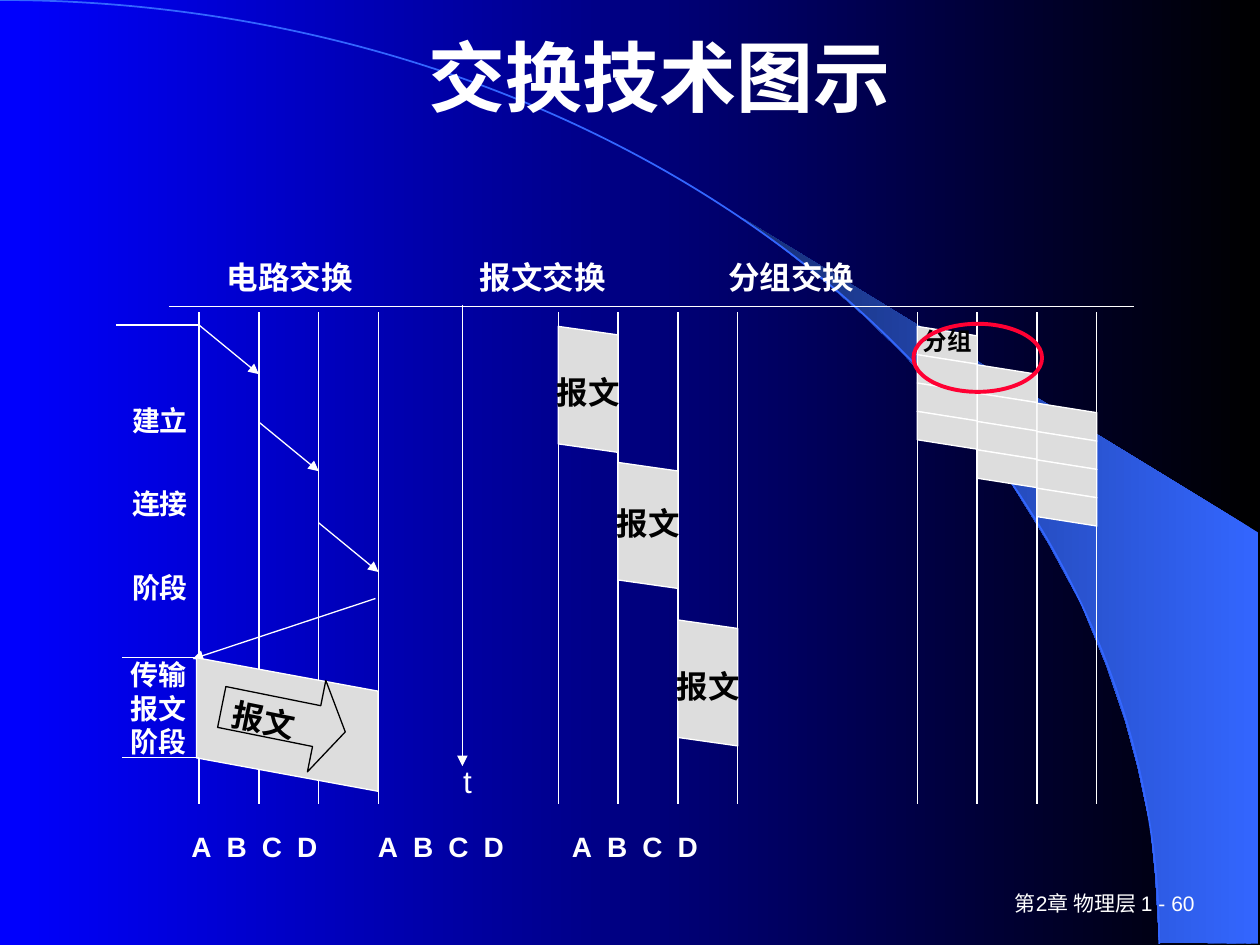
"""Build a slide comparing circuit, message and packet switching over time."""
import lxml.etree
import pptx
import pptx.dml.color
import pptx.enum.shapes
import pptx.enum.text
import pptx.oxml.ns
import pptx.util

Inches = pptx.util.Inches
Shape = pptx.enum.shapes.MSO_SHAPE
Align = pptx.enum.text.PP_ALIGN
Anchor = pptx.enum.text.MSO_ANCHOR

BLACK = pptx.dml.color.RGBColor(0, 0, 0)
WHITE = pptx.dml.color.RGBColor(255, 255, 255)
GREY = pptx.dml.color.RGBColor(0xDD, 0xDD, 0xDD)
RED = pptx.dml.color.RGBColor(0xFF, 0, 0x33)
BLUE = pptx.dml.color.RGBColor(0, 0, 0xFF)
SKY = pptx.dml.color.RGBColor(0x33, 0x66, 0xFF)
NAVY = pptx.dml.color.RGBColor(0x17, 0x2F, 0x75)

COLUMN = 0.475
FIRST_COLUMN = 1.58
NODES = 4
GROUP_STARTS = (0, 6, 12)
TOP, BOTTOM = 2.48, 6.38
START = 2.59
PACKET_STEP, PACKET_DELAY = 0.225, 0.305
SWEEP = [
    (9.2, 7.48), (9.99, 7.49), (9.99, 4.23), (5.89, 1.73), (6.24, 1.99),
    (6.53, 2.22), (6.85, 2.5), (7.16, 2.8), (7.62, 3.3), (8.03, 3.84),
    (8.32, 4.31), (8.58, 4.79), (8.78, 5.28), (8.93, 5.72), (9.03, 6.09),
    (9.13, 6.56), (9.17, 6.96),
]


def column(index):
    """Return the horizontal position of a grid column."""
    return FIRST_COLUMN + index * COLUMN


def set_values(target, values):
    """Set every attribute named in a dict of format values."""
    for name, value in values.items():
        setattr(target, name, value)


def add_child(parent, tag, **attributes):
    """Append a drawing element to an XML parent."""
    return lxml.etree.SubElement(parent, pptx.oxml.ns.qn(tag), **attributes)


def fill_gradient(fill, colors):
    """Fill with a gradient running from right to left."""
    fill.gradient()
    fill.gradient_angle = 180
    for stop, color in zip(fill.gradient_stops, colors):
        stop.color.rgb = color


def paint(shape, fill=None, line=WHITE, width=0.75):
    """Give a shape a plain fill and outline without a shadow."""
    shape.shadow.inherit = False
    if fill is None:
        shape.fill.background()
    else:
        shape.fill.solid()
        shape.fill.fore_color.rgb = fill
    shape.line.color.rgb = line
    shape.line.width = pptx.util.Pt(width)


def add_preset(page, kind, area, **look):
    """Add a painted preset shape."""
    shape = page.shapes.add_shape(kind, *map(Inches, area))
    paint(shape, **look)
    return shape


def add_line(page, start, end, arrow=False):
    """Add a thin white line, optionally with an arrowhead at its end."""
    line = page.shapes.add_connector(
        pptx.enum.shapes.MSO_CONNECTOR.STRAIGHT, *map(Inches, start + end))
    line.line.width = pptx.util.Pt(0.75)
    line.line.color.rgb = WHITE
    if arrow:
        add_child(line.line._get_or_add_ln(), "a:tailEnd", type="triangle")
    add_child(line._element.spPr, "a:effectLst")


def write(shape, text, size, color=WHITE, bold=True, tabs=(), frame=None, **layout):
    """Write one formatted paragraph into a shape."""
    body = shape.text_frame
    set_values(body, {"word_wrap": True, "vertical_anchor": Anchor.TOP, **(frame or {})})
    para = body.paragraphs[0]
    if tabs:
        stops = add_child(para._p.get_or_add_pPr(), "a:tabLst")
        for tab in tabs:
            add_child(stops, "a:tab", pos=str(Inches(tab)), algn="l")
    set_values(para, {"alignment": Align.LEFT, **layout})
    span = para.add_run()
    span.text = text
    set_values(span.font, {"name": "Arial", "size": pptx.util.Pt(size), "bold": bold})
    span.font.color.rgb = color


def add_text(page, area, text, size, **look):
    """Add a text box with one paragraph."""
    write(page.shapes.add_textbox(*map(Inches, area)), text, size, **look)


def add_slab(page, left, top, width, height, slant):
    """Add an upright block whose top and bottom slope down to the right."""
    area = (left + (width - height) / 2, top + (height - width) / 2, height, width)
    slab = add_preset(page, Shape.PARALLELOGRAM, area, fill=GREY)
    slab.rotation = 270
    slab.adjustments[0] = slant


def add_block_label(page, left, top, height, text, size):
    """Add a black label centred on a grid column."""
    margins = {f"margin_{side}": Inches(0.04) for side in ("left", "top", "right", "bottom")}
    add_text(page, (left - 0.05, top, 0.58, height), text, size, color=BLACK,
             frame={**margins, "word_wrap": False, "vertical_anchor": Anchor.MIDDLE},
             alignment=Align.CENTER)


def add_backdrop(page):
    """Draw the gradient background and its curved sweep."""
    fill_gradient(page.background.fill, (BLACK, BLUE))
    points = [(Inches(x), Inches(y)) for x, y in SWEEP]
    builder = page.shapes.build_freeform(*points[0])
    builder.add_line_segments(points[1:], close=True)
    sweep = builder.convert_to_shape()
    sweep.shadow.inherit = False
    fill_gradient(sweep.fill, (SKY, NAVY))
    sweep.line.fill.background()
    add_preset(page, Shape.ARC, (-9.2, 0, 18.4, 14.98), line=SKY, width=1)


def add_grid(page):
    """Draw the node lines, the header rule and the time axis."""
    for group in GROUP_STARTS:
        for node in range(NODES):
            x = column(group + node)
            add_line(page, (x, TOP), (x, BOTTOM))
    add_line(page, (1.34, 2.43), (9, 2.43))
    add_line(page, (3.67, 2.42), (3.67, 6.08), arrow=True)
    add_text(page, (3.5, 6, 0.42, 0.48), "t", 18, bold=False, alignment=Align.CENTER)
    add_text(page, (1.7, 2, 6.9, 0.48), "电路交换\t报文交换\t分组交换", 18, tabs=(2.01, 3.98))
    tabs = [start + 0.28 * node for start in (0, 1.48, 3.02) for node in range(NODES)]
    add_text(page, (1.42, 6.42, 7.5, 0.48), "\t".join("ABCD" * 3), 16,
             tabs=tabs[1:], line_spacing=1.44)


def add_circuit(page):
    """Draw circuit set-up, its reply and the transfer phase."""
    for hop, y in enumerate((2.58, 3.35, 4.15)):
        add_line(page, (column(hop), y), (column(hop + 1), y + 0.39), arrow=True)
    add_line(page, (2.98, 4.75), (1.53, 5.23), arrow=True)
    add_slab(page, 1.56, 5.22, 1.44, 1.06, 0.25)
    arrow = add_preset(page, Shape.RIGHT_ARROW, (1.75, 5.34, 1, 0.74), line=BLACK)
    arrow.rotation = 11.4
    arrow.adjustments[0], arrow.adjustments[1] = 0.446, 0.313
    write(arrow, "报文", 18, color=BLACK)
    for left, y in ((0.92, 2.58), (0.97, 5.22), (0.97, 6.01)):
        add_line(page, (left, y), (FIRST_COLUMN, y))
    add_text(page, (0.92, 2.75, 0.67, 2.42), "建立连接阶段", 16,
             alignment=Align.RIGHT, line_spacing=2.5)
    add_text(page, (0.83, 5.17, 0.75, 0.92), "传输报文阶段", 16, alignment=Align.RIGHT)


def add_messages(page):
    """Draw the message stored and forwarded over three hops."""
    for hop, (top, label_top) in enumerate(((START, 2.92), (3.67, 3.96), (4.92, 5.25))):
        left = column(GROUP_STARTS[1] + hop)
        add_slab(page, left, top, COLUMN, 1, 0.142)
        add_block_label(page, left, label_top, 0.38, "报文", 18)


def add_packets(page):
    """Draw four packets overlapping in time over three hops."""
    for hop in range(NODES - 1):
        for packet in range(4):
            top = START + packet * PACKET_STEP + hop * PACKET_DELAY
            add_slab(page, column(GROUP_STARTS[2] + hop), top, COLUMN, 0.3, 0.25)
    add_block_label(page, column(GROUP_STARTS[2]), 2.55, 0.31, "分组", 14)
    add_preset(page, Shape.OVAL, (7.25, 2.57, 1.02, 0.54), line=RED, width=2.25)


def main():
    """Assemble and save the slide."""
    deck = pptx.Presentation()
    set_values(deck, {"slide_width": Inches(10), "slide_height": Inches(7.5)})
    page = deck.slides.add_slide(deck.slide_layouts[6])
    add_backdrop(page)
    middle = {"vertical_anchor": Anchor.MIDDLE}
    add_text(page, (7.5, 7, 2.08, 0.33), "第2章 物理层 1 - 60", 12, bold=False,
             frame=middle, alignment=Align.RIGHT)
    add_text(page, (0.99, 0.21, 8.5, 0.78), "交换技术图示", 44,
             frame=middle, alignment=Align.CENTER)
    for draw in (add_grid, add_circuit, add_messages, add_packets):
        draw(page)
    deck.save("out.pptx")


if __name__ == "__main__":
    main()
